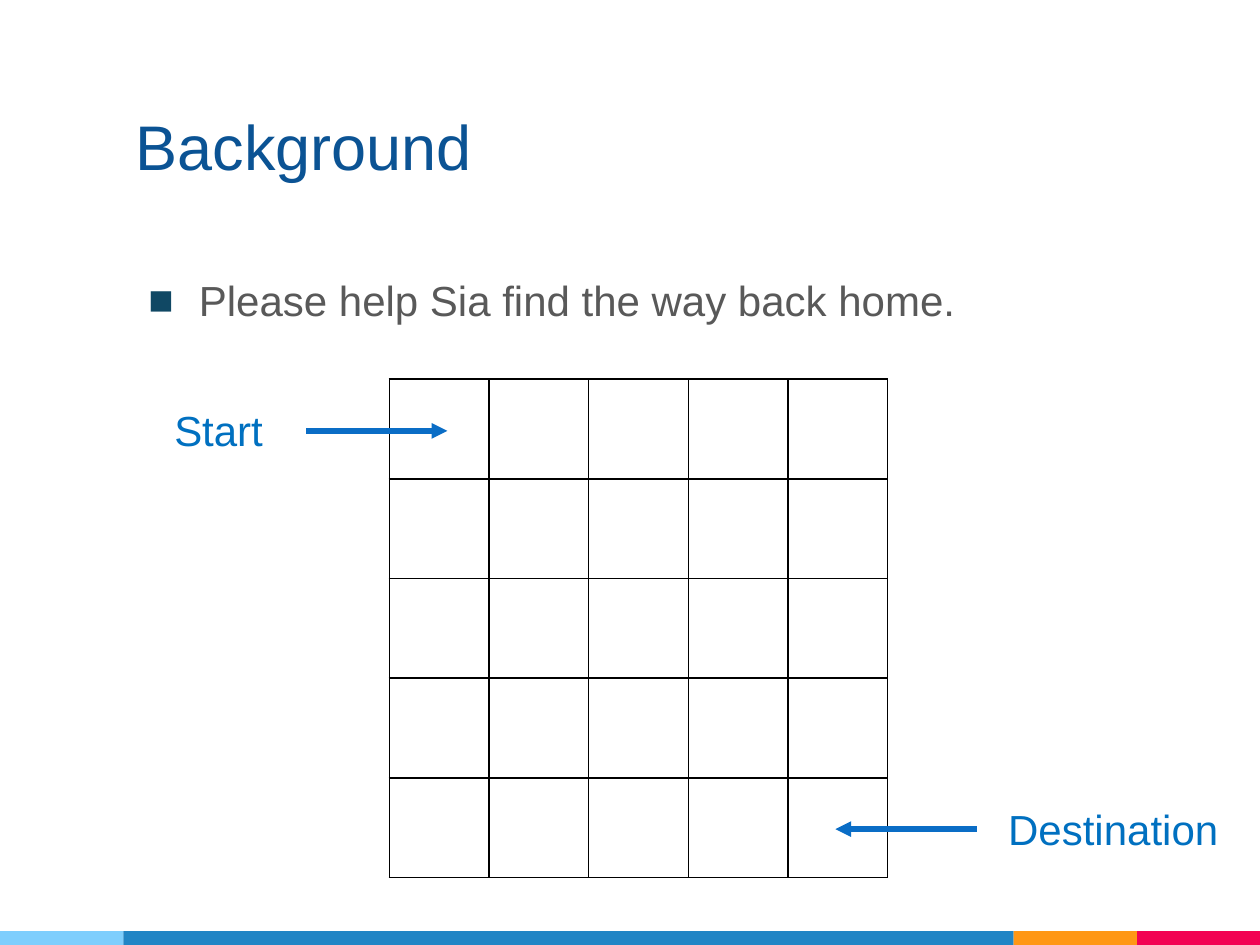
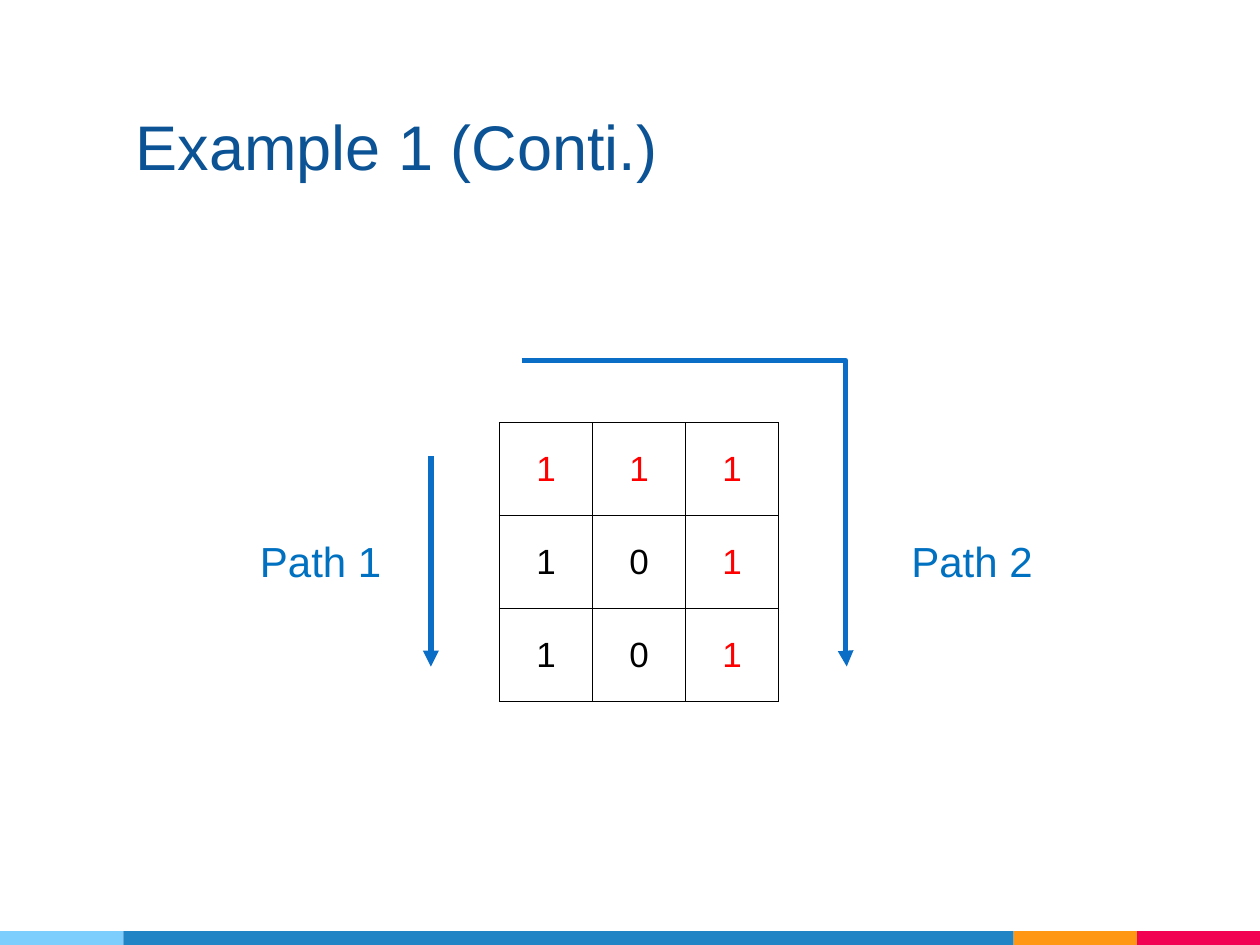
from lxml.etree import SubElement
from pptx import Presentation
from pptx.dml.color import RGBColor
from pptx.enum.shapes import MSO_CONNECTOR, MSO_SHAPE
from pptx.enum.text import MSO_ANCHOR, PP_ALIGN
from pptx.oxml.ns import qn
from pptx.util import Inches, Pt

COLORS = {
    "title": "0B5394", "body": "595959", "bullet": "104864",
    "label": "0070C0", "arrow": "0A6DC6", "grid": "000000",
    "value": "000000", "route": "FF0000",
    "sky": "7ECEFD", "blue": "2185C5", "orange": "FF9715", "red": "F20253",
}
FONT = "Arial"

deck = Presentation()
deck.slide_width, deck.slide_height = Inches(10), Inches(7.5)
UNIT = deck.slide_width / 100  # the slide is 100 columns by 75 rows
MARGIN, CONTENT_WIDTH = 9.8, 81.9
STRIPE_TOP, STRIPE_HEIGHT = 73.9, 1.1


def add_text(page, text, area, size, color, align=PP_ALIGN.CENTER,
             anchor=MSO_ANCHOR.TOP, inset=0.5):
    """Add a one-paragraph text box; area is left, top, width, height in grid units."""
    box = page.shapes.add_textbox(*(round(length * UNIT) for length in area))
    frame = box.text_frame
    frame.word_wrap = True
    frame.vertical_anchor = anchor
    frame.margin_top = frame.margin_bottom = round(inset * UNIT)
    para = frame.paragraphs[0]
    para.text = text
    para.alignment = align
    para.font.name, para.font.size = FONT, Pt(size)
    para.font.color.rgb = RGBColor.from_string(COLORS[color])
    return para


def add_arrow(page, start, end, kind=MSO_CONNECTOR.STRAIGHT):
    points = [round(length * UNIT) for length in (*start, *end)]
    arrow = page.shapes.add_connector(kind, *points)
    arrow.line.width = Pt(3)
    arrow.line.color.rgb = RGBColor.from_string(COLORS["arrow"])
    SubElement(arrow.line._get_or_add_ln(), qn("a:tailEnd"), type="triangle")
    SubElement(arrow._element.spPr, qn("a:effectLst"))
    return arrow


# Shared title and footer stripe
pages = []
for title in ("Background", "Example 1 (Conti.)"):
    page = deck.slides.add_slide(deck.slide_layouts[6])
    pages.append(page)
    left = 0
    for color, width in (("sky", 9.8), ("blue", 70.65), ("orange", 9.8), ("red", 9.75)):
        band = page.shapes.add_shape(
            MSO_SHAPE.RECTANGLE, round(left * UNIT), round(STRIPE_TOP * UNIT),
            round(width * UNIT), round(STRIPE_HEIGHT * UNIT))
        band.shadow.inherit = False
        band.fill.solid()
        band.fill.fore_color.rgb = RGBColor.from_string(COLORS[color])
        band.line.fill.background()
        left += width
    add_text(page, title, (MARGIN, 3, CONTENT_WIDTH, 12.5), 36, "title",
             PP_ALIGN.LEFT, MSO_ANCHOR.BOTTOM, 1)
background, example = pages

# Bulleted task
task = add_text(background, "Please help Sia find the way back home.",
                (MARGIN, 20, CONTENT_WIDTH, 7.8), 24, "body", PP_ALIGN.LEFT, inset=1)
task.line_spacing = 1.2
properties = task._p.get_or_add_pPr()
properties.set("marL", str(Inches(0.5)))
properties.set("indent", str(Inches(-0.4)))
bullet_color = SubElement(properties, qn("a:buClr"))
SubElement(bullet_color, qn("a:srgbClr"), val=COLORS["bullet"])
SubElement(properties, qn("a:buFont"), typeface=FONT)
SubElement(properties, qn("a:buChar"), char="■")
properties.append(properties.find(qn("a:defRPr")))  # the schema wants bullets first

# Square mazes; the route runs along the top row and down the last column
for page, left, top, cell_size, values in (
    (background, 30.9, 30.1, 7.91, [" " * 5] * 5),
    (example, 39.65, 33.55, 7.38, ["111", "101", "101"]),
):
    count = len(values)
    side = round(cell_size * count * UNIT)
    table = page.shapes.add_table(
        count, count, round(left * UNIT), round(top * UNIT), side, side).table
    table.first_row = table.horz_banding = False
    for row, line in enumerate(values):
        for column, value in enumerate(line):
            cell = table.cell(row, column)
            for edge in ("a:lnL", "a:lnR", "a:lnT", "a:lnB"):
                border = SubElement(cell._tc.get_or_add_tcPr(), qn(edge), w=str(Pt(1)))
                fill = SubElement(border, qn("a:solidFill"))
                SubElement(fill, qn("a:srgbClr"), val=COLORS["grid"])
            cell.fill.background()
            cell.vertical_anchor = MSO_ANCHOR.MIDDLE
            para = cell.text_frame.paragraphs[0]
            para.text = value.strip()
            para.alignment = PP_ALIGN.CENTER
            para.font.name, para.font.size = FONT, Pt(20)
            on_route = row == 0 or column == count - 1
            para.font.color.rgb = RGBColor.from_string(
                COLORS["route" if on_route else "value"])

# Labels
for page, text, left, top, width in (
    (background, "Start", 9.8, 31.6, 15.1),
    (background, "Destination", 78.3, 63.3, 20.1),
    (example, "Path 1", 17.9, 42, 15.1),
    (example, "Path 2", 69.6, 42, 15.1),
):
    add_text(page, text, (left, top, width, 5), 24, "label")

# Arrows
add_arrow(background, (24.3, 34.2), (35.5, 34.2))
add_arrow(background, (77.5, 65.8), (66.3, 65.8))
add_arrow(example, (34.2, 36.2), (34.2, 52.9))
around = add_arrow(example, (41.4, 28.6), (67.2, 52.9), MSO_CONNECTOR.ELBOW)
geometry = around._element.spPr.find(qn("a:prstGeom"))
guides = geometry.find(qn("a:avLst"))
if guides is None:
    guides = SubElement(geometry, qn("a:avLst"))
SubElement(guides, qn("a:gd"), name="adj1", fmla="val 99700")

deck.save("out.pptx")
